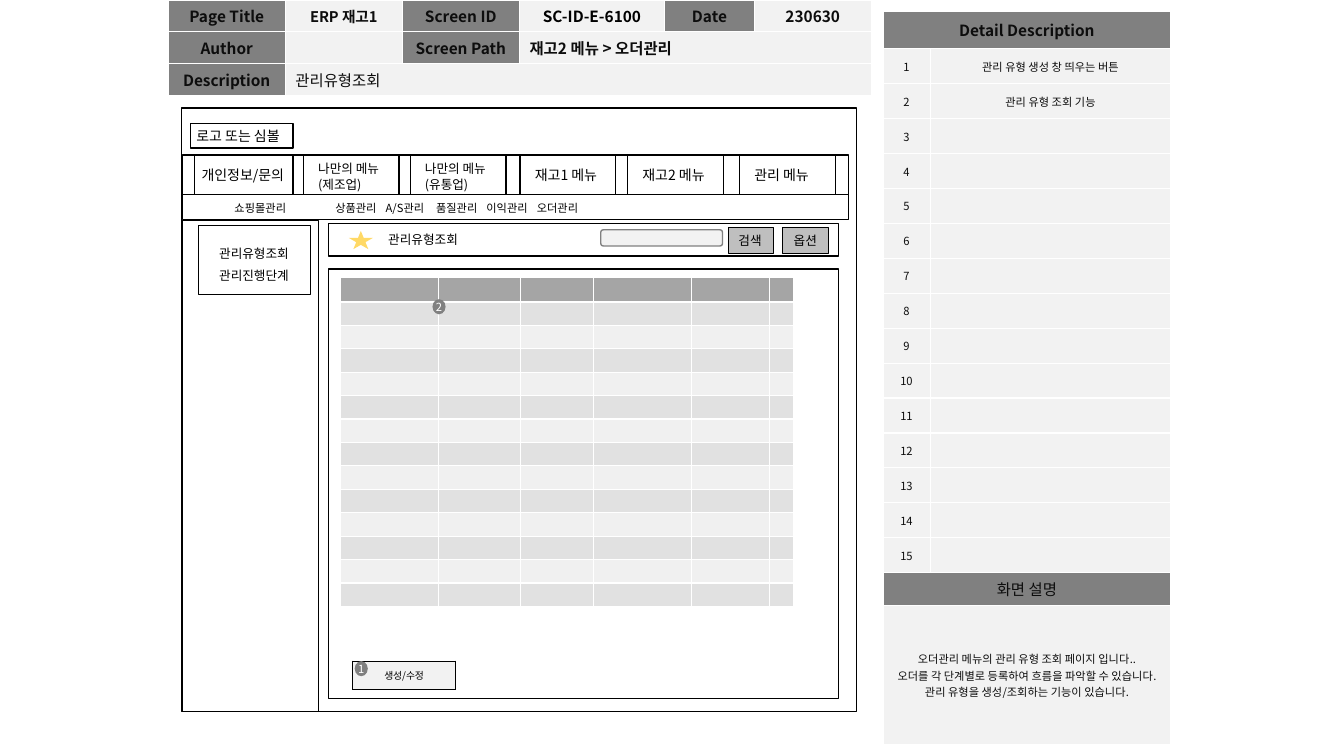
from dataclasses import dataclass

from lxml import etree
from pptx import Presentation
from pptx import util as u
from pptx.dml.color import RGBColor
from pptx.enum import shapes, text
from pptx.oxml.ns import qn

SHAPE = shapes.MSO_SHAPE
LEFT, CENTER = text.PP_ALIGN.LEFT, text.PP_ALIGN.CENTER


@dataclass(frozen=True)
class Theme:
    font: str = "Noto Sans CJK KR"
    ink: str = "000000"
    heading_ink: str = "0D0D0D"
    white: str = "FFFFFF"
    label: str = "808080"
    pale: str = "F2F2F2"
    button: str = "BFBFBF"
    star: str = "FFD966"
    grid_head: str = "A5A5A5"
    grid_rows: tuple = ("E1E1E1", "F0F0F0")
    heading: float = 11
    page_name: float = 10.5
    menu: float = 10
    body: float = 9
    small: float = 8
    tiny: float = 7


THEME = Theme()


def place(box):
    return [u.Cm(length) for length in box]


def paint(fill, color):
    if color:
        fill.solid()
        fill.fore_color.rgb = RGBColor.from_string(color)
    else:
        fill.background()


def write(frame, content, size, color=THEME.ink, align=LEFT, bold=False, spacing=None):
    """Fill a text frame; each line of content becomes a paragraph."""
    frame.text = content
    for paragraph in frame.paragraphs:
        paragraph.alignment = align
        paragraph.space_before = u.Pt(0)
        if spacing:
            paragraph.line_spacing = spacing
        font = paragraph.font
        font.size, font.bold, font.name = u.Pt(size), bold, THEME.font
        font.color.rgb = RGBColor.from_string(color)
        latin = paragraph._p.pPr.find(qn("a:defRPr")).find(qn("a:latin"))
        east_asian = etree.Element(qn("a:ea"), typeface=THEME.font)
        latin.addnext(east_asian)


def add_box(slide, box, kind=SHAPE.RECTANGLE, fill=None, line=THEME.ink, width=1):
    shape = slide.shapes.add_shape(kind, *place(box))
    shape.shadow.inherit = False
    paint(shape.fill, fill)
    paint(shape.line.fill, line)
    if line:
        shape.line.width = u.Pt(width)
    return shape


def add_label(slide, box, content, size, wrap=True):
    frame = slide.shapes.add_textbox(*place(box)).text_frame
    frame.word_wrap = wrap
    write(frame, content, size)


def add_button(slide, box, content, align=LEFT):
    button = add_box(slide, box, fill=THEME.button, width=0.75)
    button.text_frame.vertical_anchor = text.MSO_ANCHOR.TOP
    write(button.text_frame, content, THEME.body, align=align)


def add_badge(slide, left, top, number):
    badge = add_box(slide, (left, top, 0.33, 0.38), SHAPE.OVAL, THEME.label, None)
    frame = badge.text_frame
    frame.margin_left = frame.margin_right = frame.margin_top = frame.margin_bottom = 0
    frame.word_wrap = False
    write(frame, number, THEME.small, THEME.white, CENTER)


def fill_placeholder(holder, box, content, **style):
    holder.left, holder.top, holder.width, holder.height = place(box)
    frame = holder.text_frame
    frame.auto_size = text.MSO_AUTO_SIZE.NONE
    frame.vertical_anchor = text.MSO_ANCHOR.TOP
    write(frame, content, THEME.body, **style)
    for paragraph in frame.paragraphs:
        properties = paragraph._p.pPr
        properties.set("marL", "0")
        properties.set("indent", "0")
        bullet_off = etree.Element(qn("a:buNone"))
        properties.find(qn("a:defRPr")).addprevious(bullet_off)


def add_grid(slide, left, top, columns, rows, thick_head=False):
    """Add a table whose first row may keep the style's thick lower rule."""
    box = place((left, top, sum(columns), sum(rows)))
    table = slide.shapes.add_table(len(rows), len(columns), *box).table
    table.first_row, table.horz_banding = thick_head, False
    for column, width in zip(table.columns, columns):
        column.width = u.Cm(width)
    for row, height in zip(table.rows, rows):
        row.height = u.Cm(height)
    return table


def set_cell(cell, fill, content="", size=THEME.small, color=THEME.heading_ink,
             align=CENTER, bold=False):
    paint(cell.fill, fill)
    cell.margin_top = cell.margin_bottom = 0
    cell.vertical_anchor = text.MSO_ANCHOR.MIDDLE
    write(cell.text_frame, content, size, color, align, bold)


def outline_cell(cell):
    properties = cell._tc.get_or_add_tcPr()
    for index, side in enumerate(("lnL", "lnR", "lnT", "lnB")):
        line = etree.Element(qn(f"a:{side}"), w=str(u.Pt(1)))
        solid = etree.SubElement(line, qn("a:solidFill"))
        etree.SubElement(solid, qn("a:srgbClr"), val=THEME.ink)
        properties.insert(index, line)


def add_page_header(slide):
    table = add_grid(slide, 4.24, 0, (2.95, 2.95, 2.95, 3.66, 2.26, 2.95), (0.79, 0.81, 0.81))
    table.cell(1, 3).merge(table.cell(1, 5))
    table.cell(2, 1).merge(table.cell(2, 5))
    labels = {(0, 0): "Page Title", (0, 2): "Screen ID", (0, 4): "Date",
              (1, 0): "Author", (1, 2): "Screen Path", (2, 0): "Description"}
    for (row, column), label in labels.items():
        set_cell(table.cell(row, column), THEME.label, label, THEME.heading, bold=True)
    set_cell(table.cell(0, 1), THEME.pale, "ERP 재고1", THEME.page_name, bold=True)
    set_cell(table.cell(0, 3), THEME.pale, "SC-ID-E-6100", THEME.heading, THEME.ink, bold=True)
    set_cell(table.cell(0, 5), THEME.pale, "230630", THEME.heading, bold=True)
    set_cell(table.cell(1, 1), THEME.pale)
    set_cell(table.cell(1, 3), THEME.pale, "재고2 메뉴 > 오더관리", THEME.heading,
             align=LEFT, bold=True)
    set_cell(table.cell(2, 1), THEME.pale, "관리유형조회", THEME.heading, align=LEFT)


def add_menus(slide):
    add_box(slide, (4.8, 3.12, 2.59, 0.61))
    add_label(slide, (4.7, 3.1, 2.9, 0.69), "로고 또는 심볼", THEME.menu, wrap=False)
    add_box(slide, (4.6, 3.91, 16.79, 0.99))
    add_box(slide, (4.9, 3.91, 2.49, 0.99))
    add_label(slide, (4.83, 4.06, 2.92, 0.69), "개인정보/문의", THEME.menu)
    tabs = ((7.65, "나만의 메뉴(제조업)"), (10.34, "나만의 메뉴(유통업)"),
            (13.11, "재고1 메뉴"), (15.82, "재고2 메뉴"), (18.64, "관리 메뉴"))
    for left, name in tabs:
        add_box(slide, (left, 3.91, 2.41, 0.99))
        two_lines = "(" in name
        top, size = (3.94, THEME.body) if two_lines else (4.08, THEME.menu)
        add_label(slide, (left + 0.12, top, 2.44, 0.69), name, size)
    add_box(slide, (4.6, 4.9, 16.79, 0.64))
    submenu = ("쇼핑몰관리", "상품관리", "A/S관리", "품질관리", "이익관리", "오더관리")
    add_label(slide, (5.66, 4.95, 14.6, 0.61), "\t".join(submenu), THEME.small)
    add_box(slide, (4.6, 5.56, 3.43, 12.37))
    add_box(slide, (5, 5.69, 2.82, 1.73))


def add_search_bar(slide):
    add_box(slide, (8.28, 5.64, 12.85, 0.81))
    add_box(slide, (8.79, 5.82, 0.61, 0.46), SHAPE.STAR_5_POINT, THEME.star, None)
    add_box(slide, (15.14, 5.79, 3.07, 0.41), SHAPE.ROUNDED_RECTANGLE, THEME.pale, THEME.label)
    add_button(slide, (18.36, 5.74, 1.14, 0.64), "검색")
    add_button(slide, (19.71, 5.74, 1.17, 0.64), "옵션", CENTER)


def add_order_list(slide):
    add_box(slide, (8.28, 6.78, 12.85, 10.82))
    rows = [0.62] + [0.59] * 13
    columns = (2.46, 2.06, 1.85, 2.46, 1.98, 0.58)
    orders = add_grid(slide, 8.59, 6.99, columns, rows, thick_head=True)
    for row in range(len(rows)):
        fill = THEME.grid_rows[(row - 1) % 2] if row else THEME.grid_head
        for column in range(len(columns)):
            set_cell(orders.cell(row, column), fill)
    edit = add_grid(slide, 8.89, 16.66, (2.59,), (0.71,)).cell(0, 0)
    set_cell(edit, THEME.pale, "생성/수정", THEME.tiny, THEME.ink)
    outline_cell(edit)
    add_badge(slide, 8.94, 16.66, "1")
    add_badge(slide, 10.9, 7.54, "2")


def add_detail_panel(slide):
    rows = [0.95] + [0.88] * 15 + [0.83, 3.5]
    table = add_grid(slide, 22.25, 0.28, (1.19, 6.07), rows, thick_head=True)
    for row in (0, 16, 17):
        table.cell(row, 0).merge(table.cell(row, 1))
    set_cell(table.cell(0, 0), THEME.label, "Detail Description", THEME.heading, bold=True)
    details = {1: "관리 유형 생성 창 띄우는 버튼", 2: "관리 유형 조회 기능"}
    for number in range(1, 16):
        set_cell(table.cell(number, 0), THEME.pale, str(number))
        set_cell(table.cell(number, 1), THEME.pale, details.get(number, ""))
    set_cell(table.cell(16, 0), THEME.label, "화면 설명", THEME.heading)
    set_cell(table.cell(17, 0), THEME.pale,
             "오더관리 메뉴의 관리 유형 조회 페이지 입니다..\n"
             "오더를 각 단계별로 등록하여 흐름을 파악할 수 있습니다. "
             "관리 유형을 생성/조회하는 기능이 있습니다.")


def main():
    deck = Presentation()
    deck.slide_width, deck.slide_height = u.Cm(33.87), u.Cm(19.05)
    slide = deck.slides.add_slide(deck.slide_layouts[1])
    fill_placeholder(slide.shapes.title, (9.53, 5.72, 3.48, 0.64), "관리유형조회")
    fill_placeholder(slide.placeholders[1], (4.8, 5.87, 3.2, 1.35),
                     "관리유형조회\n관리진행단계", align=CENTER, spacing=1.5)
    add_page_header(slide)
    add_box(slide, (4.57, 2.72, 17.02, 15.21))
    add_menus(slide)
    add_search_bar(slide)
    add_order_list(slide)
    add_detail_panel(slide)
    deck.save("out.pptx")


if __name__ == "__main__":
    main()
